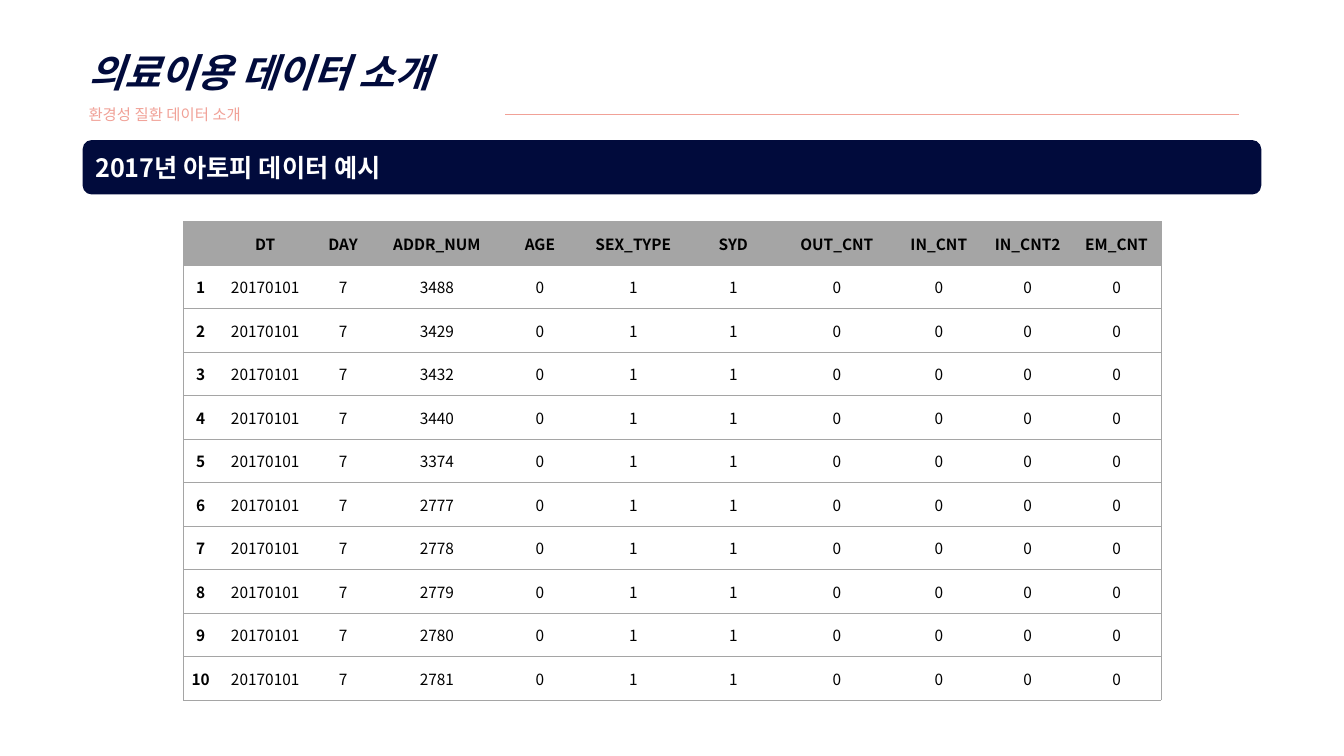
"""Build the slide that introduces the medical-use data with a sample table."""
from dataclasses import dataclass

from lxml import etree
from pptx import Presentation
from pptx.dml.color import RGBColor
from pptx.enum.shapes import MSO_CONNECTOR, MSO_SHAPE
from pptx.enum.text import MSO_ANCHOR, MSO_AUTO_SIZE, PP_ALIGN
from pptx.oxml.ns import qn
from pptx.util import Emu, Inches, Pt

ROUNDED = MSO_SHAPE.ROUNDED_RECTANGLE
STRAIGHT = MSO_CONNECTOR.STRAIGHT
MIDDLE = MSO_ANCHOR.MIDDLE
GROW = MSO_AUTO_SIZE.SHAPE_TO_FIT_TEXT
LEFT, CENTER = PP_ALIGN.LEFT, PP_ALIGN.CENTER

FONT = "Noto Sans CJK KR"
NAVY, PINK, GRAY, WHITE, BLACK = "010B3C", "F1A197", "A5A5A5", "FFFFFF", "000000"
SLIDE_WIDTH, SLIDE_HEIGHT = Inches(13.333), Inches(7.5)
THIN = Pt(0.5)


@dataclass(frozen=True)
class Box:
    left: float
    top: float
    width: float
    height: float

    def place(self) -> tuple[Emu, Emu, Emu, Emu]:
        return across(self.left), down(self.top), across(self.width), down(self.height)


@dataclass(frozen=True)
class TextStyle:
    size: float
    color: str
    bold: bool = False
    italic: bool = False
    align: PP_ALIGN = LEFT
    spacing: float | None = None


@dataclass(frozen=True)
class Column:
    heading: str
    share: float
    value: str = ""


TITLE_BOX = Box(5.85, 2.67, 50, 14)
BANNER_BOX = Box(6.15, 18.53, 87.7, 7.2)
TABLE_BOX = Box(13.65, 29.33, 72.75, 63.33)
RULE_START, RULE_END, RULE_TOP = 37.58, 92.2, 15.07

TITLE = TextStyle(28, NAVY, bold=True, italic=True, spacing=1.5)
SUBTITLE = TextStyle(11, PINK, spacing=1.5)
BANNER = TextStyle(18, WHITE, bold=True)
STRONG_CELL = TextStyle(11, BLACK, bold=True, align=CENTER)
PLAIN_CELL = TextStyle(11, BLACK, align=CENTER)

ADDRESSES = ["3488", "3429", "3432", "3440", "3374", "2777", "2778", "2779", "2780", "2781"]
COLUMNS = [
    Column("", 0.34),
    Column("DT", 0.94, "20170101"),
    Column("DAY", 0.6, "7"),
    Column("ADDR_NUM", 1.26),
    Column("AGE", 0.78, "0"),
    Column("SEX_TYPE", 1.07, "1"),
    Column("SYD", 0.91, "1"),
    Column("OUT_CNT", 1.14, "0"),
    Column("IN_CNT", 0.88, "0"),
    Column("IN_CNT2", 0.88, "0"),
    Column("EM_CNT", 0.88, "0"),
]


def across(percent: float) -> Emu:
    return Emu(round(SLIDE_WIDTH * percent / 100))


def down(percent: float) -> Emu:
    return Emu(round(SLIDE_HEIGHT * percent / 100))


def color(value: str) -> RGBColor:
    return RGBColor.from_string(value)


def write(paragraph, text: str, style: TextStyle) -> None:
    paragraph.text = text
    paragraph.alignment = style.align
    if style.spacing:
        paragraph.line_spacing = style.spacing
    font = paragraph.font
    font.size, font.bold, font.italic = Pt(style.size), style.bold, style.italic
    font.color.rgb = color(style.color)
    font.name = FONT
    for properties in paragraph._p.iter(qn("a:defRPr")):
        etree.SubElement(properties, qn("a:ea"), typeface=FONT)


def add_title(slide) -> None:
    frame = slide.shapes.add_textbox(*TITLE_BOX.place()).text_frame
    frame.word_wrap = True
    frame.auto_size = GROW
    write(frame.paragraphs[0], "의료이용 데이터 소개", TITLE)
    write(frame.add_paragraph(), "환경성 질환 데이터 소개", SUBTITLE)


def add_rule(slide) -> None:
    top = down(RULE_TOP)
    rule = slide.shapes.add_connector(STRAIGHT, across(RULE_START), top, across(RULE_END), top)
    rule.line.color.rgb = color(PINK)
    rule.line.width = THIN
    etree.SubElement(rule._element.spPr, qn("a:effectLst"))


def add_banner(slide) -> None:
    banner = slide.shapes.add_shape(ROUNDED, *BANNER_BOX.place())
    banner.shadow.inherit = False
    banner.fill.solid()
    banner.fill.fore_color.rgb = color(NAVY)
    banner.line.fill.background()
    banner.text_frame.vertical_anchor = MIDDLE
    write(banner.text_frame.paragraphs[0], "2017년 아토피 데이터 예시", BANNER)


def set_borders(cell, visible: dict[str, bool]) -> None:
    properties = cell._tc.get_or_add_tcPr()
    for side, shown in visible.items():
        line = etree.SubElement(properties, qn(f"a:ln{side}"), w=str(THIN))
        if shown:
            fill = etree.SubElement(line, qn("a:solidFill"))
            etree.SubElement(fill, qn("a:srgbClr"), val=GRAY)
        else:
            etree.SubElement(line, qn("a:noFill"))


def format_cell(cell, text: str, is_header: bool, is_first: bool, is_last: bool) -> None:
    set_borders(cell, {"L": is_first, "R": is_last, "T": True, "B": True})
    if is_header:
        cell.fill.solid()
        cell.fill.fore_color.rgb = color(GRAY)
    else:
        cell.fill.background()
    cell.vertical_anchor = MIDDLE
    cell.margin_left = cell.margin_right = Inches(0.05)
    cell.margin_top = cell.margin_bottom = Inches(0.04)
    write(cell.text_frame.paragraphs[0], text, STRONG_CELL if is_header or is_first else PLAIN_CELL)


def add_data_table(slide) -> None:
    rows = [[column.heading for column in COLUMNS]]
    for number, address in enumerate(ADDRESSES, start=1):
        own_values = {"": str(number), "ADDR_NUM": address}
        rows.append([own_values.get(column.heading, column.value) for column in COLUMNS])

    table = slide.shapes.add_table(len(rows), len(COLUMNS), *TABLE_BOX.place()).table
    table.first_row = table.horz_banding = False
    total = sum(column.share for column in COLUMNS)
    for table_column, column in zip(table.columns, COLUMNS):
        table_column.width = across(TABLE_BOX.width * column.share / total)
    last = len(COLUMNS) - 1
    for row_index, row in enumerate(rows):
        table.rows[row_index].height = down(TABLE_BOX.height / len(rows))
        for column_index, text in enumerate(row):
            cell = table.cell(row_index, column_index)
            format_cell(cell, text, row_index == 0, column_index == 0, column_index == last)


def main() -> None:
    presentation = Presentation()
    presentation.slide_width, presentation.slide_height = SLIDE_WIDTH, SLIDE_HEIGHT
    slide = presentation.slides.add_slide(presentation.slide_layouts[6])
    add_title(slide)
    add_rule(slide)
    add_banner(slide)
    add_data_table(slide)
    presentation.save("out.pptx")


if __name__ == "__main__":
    main()
